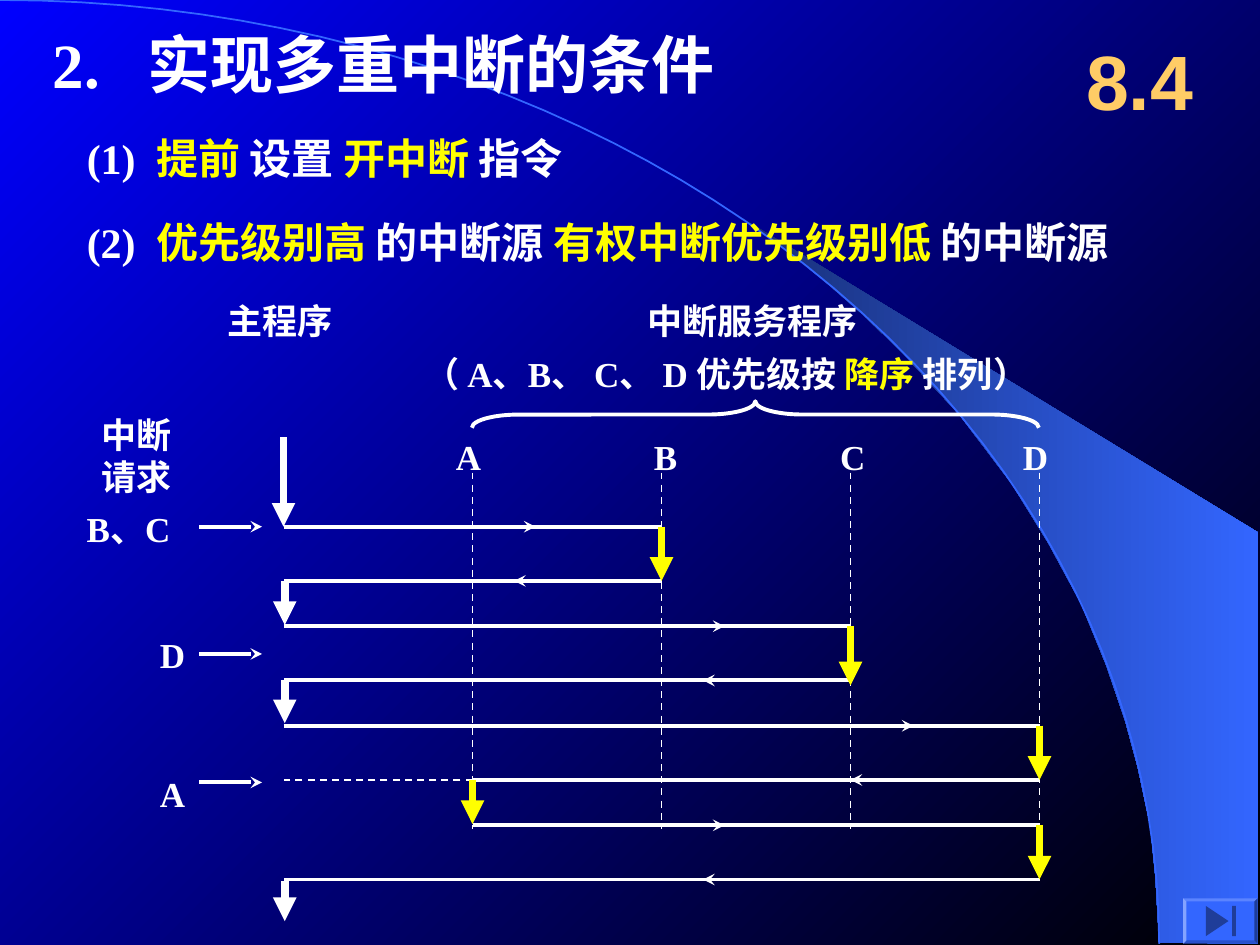
import math
import pptx
import pptx.util
import pptx.dml.color
import pptx.enum.dml
import pptx.enum.shapes
import pptx.enum.text
import pptx.oxml.ns
from lxml import etree

Inches = pptx.util.Inches
SHAPE = pptx.enum.shapes.MSO_SHAPE
WHITE, YELLOW, BLUE, NAVY, GOLD = "FFFFFF", "FFFF00", "3366FF", "1F3D99", "FFCC66"


def rgb(code):
    return pptx.dml.color.RGBColor.from_string(code)


def sub(parent, tag, **attrs):
    return etree.SubElement(parent, pptx.oxml.ns.qn(tag), attrs)


class Deck:
    font = "Times New Roman"

    def __init__(self, width, height):
        self.prs = pptx.Presentation()
        self.prs.slide_width, self.prs.slide_height = Inches(width), Inches(height)
        self.s = self.prs.slides.add_slide(self.prs.slide_layouts[6])

    def gradient(self, fill, start, end, angle):
        fill.gradient()
        fill.gradient_angle = angle
        for stop, color, pos in zip(fill.gradient_stops, (start, end), (0, 1)):
            stop.color.rgb = rgb(color)
            stop.position = pos

    def line(self, x1, y1, x2, y2, color=WHITE, width=2.25, tail=None, dash=False):
        c = self.s.shapes.add_connector(pptx.enum.shapes.MSO_CONNECTOR.STRAIGHT,
                                        Inches(x1), Inches(y1), Inches(x2), Inches(y2))
        c.line.color.rgb = rgb(color)
        c.line.width = pptx.util.Pt(width)
        if dash:
            c.line.dash_style = pptx.enum.dml.MSO_LINE.DASH
        if tail:
            sub(c.line._get_or_add_ln(), "a:tailEnd", type=tail)
        sub(c._element.spPr, "a:effectLst")

    def style(self, sp, fill=None, line=None, width=1):
        sp.shadow.inherit = False
        if fill:
            sp.fill.solid()
            sp.fill.fore_color.rgb = rgb(fill)
        else:
            sp.fill.background()
        if line:
            sp.line.color.rgb = rgb(line)
            sp.line.width = pptx.util.Pt(width)
        else:
            sp.line.fill.background()
        return sp

    def outline(self, points, close=True, **look):
        pts = [(Inches(x), Inches(y)) for x, y in points]
        fb = self.s.shapes.build_freeform(*pts[0], scale=1.0)
        fb.add_line_segments(pts[1:], close=close)
        return self.style(fb.convert_to_shape(), **look)

    def shape(self, kind, x, y, w, h, **look):
        sp = self.s.shapes.add_shape(kind, Inches(x), Inches(y), Inches(w), Inches(h))
        return self.style(sp, **look)

    def text(self, x, y, w, h, paras, size=20, color=WHITE, font=None,
             middle=False, center=False, tab=None, inset=True):
        """Each paragraph is a list of strings; every second one is highlighted."""
        tf = self.s.shapes.add_textbox(Inches(x), Inches(y), Inches(w), Inches(h)).text_frame
        tf.word_wrap = True
        if middle:
            tf.vertical_anchor = pptx.enum.text.MSO_ANCHOR.MIDDLE
        if not inset:
            tf.margin_left = tf.margin_right = tf.margin_top = tf.margin_bottom = 0
        for i, parts in enumerate(paras):
            p = tf.add_paragraph() if i else tf.paragraphs[0]
            if center:
                p.alignment = pptx.enum.text.PP_ALIGN.CENTER
            if tab:
                tabs = sub(p._p.get_or_add_pPr(), "a:tabLst")
                sub(tabs, "a:tab", pos=str(Inches(tab)), algn="l")
            p.font.size = pptx.util.Pt(size)
            p.font.name = font or self.font
            p.font.bold = True
            for j, part in enumerate(parts):
                r = p.add_run()
                r.text = part
                r.font.color.rgb = rgb(YELLOW if j % 2 else color)


def main():
    d = Deck(10, 7.5)

    # Background, sweep and arc
    d.gradient(d.s.background.fill, "0000FF", "000000", 315)
    sweep = d.outline([
        (9.2, 7.48), (9.99, 7.49), (9.99, 4.23), (5.89, 1.73), (6.24, 1.99), (6.53, 2.22),
        (6.85, 2.5), (7.16, 2.8), (7.62, 3.3), (8.03, 3.84), (8.32, 4.31), (8.58, 4.79),
        (8.78, 5.28), (8.93, 5.72), (9.03, 6.09), (9.13, 6.56), (9.17, 6.96)])
    d.gradient(sweep.fill, "182F76", BLUE, 0)
    angles = [math.radians(a) for a in range(0, 91, 2)]
    d.outline([(9.2 * math.sin(a), 7.49 * (1 - math.cos(a))) for a in angles],
              close=False, line=BLUE)

    # Title, section number and conditions
    d.text(0.42, 0.27, 5.9, 0.47, [["2.\t实现多重中断的条件"]], size=36,
           middle=True, tab=0.75, inset=False)
    d.text(8.42, 0.17, 1.25, 0.92, [["8.4"]], size=44, color=GOLD, font="Arial",
           middle=True, center=True)
    d.text(0.59, 1, 4.49, 0.5, [["(1)\t", "提前 ", "设置 ", "开中断 ", "指令"]],
           size=24, tab=0.55)
    d.text(0.59, 1.67, 8.91, 0.5,
           [["(2)\t", "优先级别高 ", "的中断源 ", "有权中断优先级别低 ", "的中断源"]],
           size=24, tab=0.55)

    # Diagram headings
    d.text(1.71, 2.33, 1.2, 0.44, [["主程序"]])
    d.text(5.04, 2.33, 2.1, 0.44, [["中断服务程序"]])
    d.text(3.27, 2.75, 6, 0.44, [["（ A、B、 C、 D 优先级按 ", "降序 ", "排列）"]])
    d.text(0.71, 3.23, 0.9, 0.77, [["中断"], ["请求"]])
    brace = d.shape(SHAPE.LEFT_BRACE, 5.89, 1.04, 0.21, 4.5, line=WHITE, width=2.25)
    brace.rotation = 90
    brace.adjustments[0] = 1.79

    # Service routine columns
    main_x = 2.25
    a, b, c, dd = columns = [3.75 + 1.5 * i for i in range(4)]
    for name, x, left in zip("ABCD", columns, (3.52, 5.09, 6.57, 8.02)):
        d.line(x, 3.75, x, 6.58, width=1, dash=True)
        d.text(left, 3.41, 0.45, 0.44, [[name]])
    d.line(a, 6.19, main_x, 6.19, width=1, dash=True)

    # Switches between programs: from, to, height, start of the arrow
    for x1, x2, y, start in [
            (main_x, b, 4.18, 3.75), (b, main_x, 4.61, 4.58),
            (main_x, c, 4.97, 5.25), (c, main_x, 5.4, 6.08),
            (main_x, dd, 5.76, 6.75), (dd, a, 6.19, 7.25),
            (a, dd, 6.55, 5.25), (dd, main_x, 6.98, 6.08)]:
        d.line(x1, y, x2, y)
        d.line(start, y, start + math.copysign(0.5, x2 - x1), y, tail="stealth")

    # Running time of the main program and of each routine
    for x, top, bottom, color in [
            (main_x, 3.47, 4.18, WHITE), (2.26, 4.61, 4.96, WHITE),
            (2.26, 5.4, 5.74, WHITE), (2.26, 6.99, 7.31, WHITE),
            (b, 4.18, 4.61, YELLOW), (c, 4.97, 5.44, YELLOW), (dd, 5.76, 6.19, YELLOW),
            (a, 6.19, 6.54, YELLOW), (dd, 6.55, 6.98, YELLOW)]:
        d.line(x, top, x, bottom, color, 4.5, "triangle")

    # Interrupt requests
    for name, left, top, width, y in [("B、C", 0.59, 3.98, 1.1, 4.18),
                                      ("D", 1.17, 4.98, 0.45, 5.19),
                                      ("A", 1.17, 6.08, 0.45, 6.21)]:
        d.text(left, top, width, 0.44, [[name]])
        d.line(1.58, y, 2.08, y, tail="stealth")

    # Navigation button
    button = d.shape(SHAPE.BEVEL, 9.39, 7.13, 0.59, 0.36, fill=BLUE)
    button.adjustments[0] = 0.07
    d.outline([(9.57, 7.19), (9.75, 7.31), (9.57, 7.43)], fill=NAVY)
    d.shape(SHAPE.RECTANGLE, 9.78, 7.19, 0.03, 0.24, fill=NAVY)

    d.prs.save("out.pptx")


if __name__ == "__main__":
    main()
